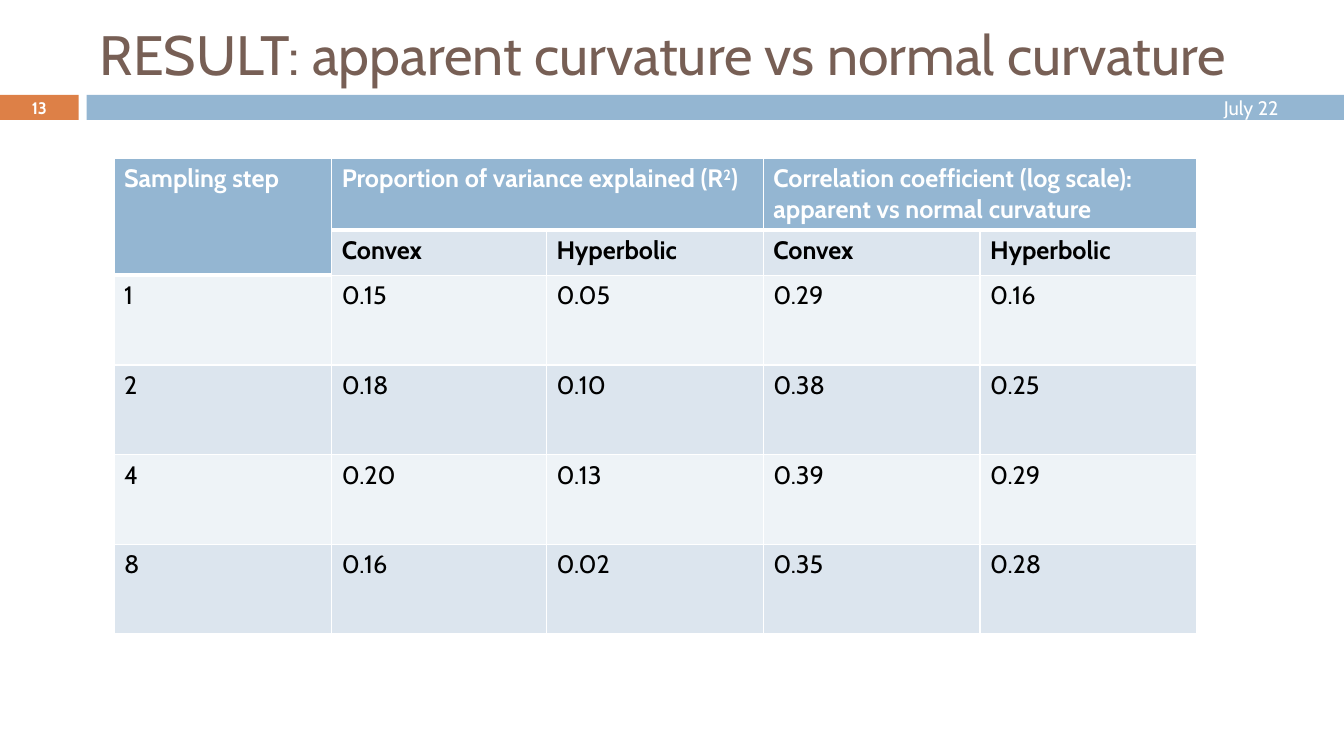
from lxml.etree import SubElement
from pptx import Presentation
from pptx.dml.color import RGBColor
from pptx.enum.shapes import MSO_SHAPE as Shape
from pptx.enum.text import MSO_ANCHOR as Anchor, PP_ALIGN as Align
from pptx.oxml.ns import qn
from pptx.util import Inches, Pt

TITLE = "RESULT: apparent curvature vs normal curvature"
NUMBER = "13"
DATE = "July 22"
# Each head: row, column, row span, column span, lines of (text, raised) runs
HEADS = [
    (0, 0, 2, 1, [[("Sampling step", False)]]),
    (0, 1, 1, 2, [[("Proportion of variance explained (R", False),
                   ("2", True), (")", False)]]),
    (0, 3, 1, 2, [[("Correlation coefficient (log scale):", False)],
                  [("apparent vs normal curvature", False)]]),
]
KINDS = ["Convex", "Hyperbolic"]
VALUES = [
    ["1", "0.15", "0.05", "0.29", "0.16"],
    ["2", "0.18", "0.10", "0.38", "0.25"],
    ["4", "0.20", "0.13", "0.39", "0.29"],
    ["8", "0.16", "0.02", "0.35", "0.28"],
]
WIDTHS = [2.16, 2.13, 2.15, 2.15, 2.15]
HEIGHTS = [0.7, 0.45] + [0.89] * len(VALUES)

FONT = "Cabin"
WHITE = RGBColor(0xFF, 0xFF, 0xFF)
BLACK = RGBColor(0, 0, 0)
BROWN = RGBColor(0x77, 0x5F, 0x55)
ORANGE = RGBColor(0xDD, 0x80, 0x47)
BLUE = RGBColor(0x94, 0xB6, 0xD2)
MID = RGBColor(0xDC, 0xE5, 0xEE)
PALE = RGBColor(0xEE, 0xF3, 0xF7)


def add_run(para, text, size, color, bold=False, raised=False):
    run = para.add_run()
    run.text = text
    font = run.font
    font.name, font.size, font.bold = FONT, Pt(size), bold
    font.color.rgb = color
    if raised:
        run._r.get_or_add_rPr().set("baseline", "30000")


def add_bar(slide, left, width, color):
    bar = slide.shapes.add_shape(Shape.RECTANGLE, Inches(left), Inches(0.94),
                                 Inches(width), Inches(0.25))
    bar.shadow.inherit = False
    bar.fill.solid()
    bar.fill.fore_color.rgb = color
    bar.line.fill.background()
    frame = bar.text_frame
    frame.vertical_anchor = Anchor.MIDDLE
    frame.margin_top = frame.margin_bottom = 0
    return frame


def set_edges(cell, top, bottom):
    """Draw white cell borders, with the given top and bottom widths in points."""
    props = cell._tc.get_or_add_tcPr()
    for side, width in zip("LRTB", (1, 1, top, bottom)):
        line = SubElement(props, qn("a:ln" + side), w=str(Pt(width)))
        fill = SubElement(line, qn("a:solidFill"))
        SubElement(fill, qn("a:srgbClr"), val=str(WHITE))


def add_grid(slide):
    frame = slide.shapes.add_table(len(HEIGHTS), len(WIDTHS), Inches(1.13),
                                   Inches(1.57), Inches(sum(WIDTHS)),
                                   Inches(sum(HEIGHTS)))
    table = frame.table
    for col, width in zip(table.columns, WIDTHS):
        col.width = Inches(width)
    for row, height in zip(table.rows, HEIGHTS):
        row.height = Inches(height)

    for r in range(len(HEIGHTS)):
        for c in range(len(WIDTHS)):
            cell = table.cell(r, c)
            is_head = r == 0 or (r == 1 and c == 0)
            below = r == (2 if c == 0 else 1)
            set_edges(cell, 3 if below else 1, 3 if is_head else 1)
            cell.fill.solid()
            cell.fill.fore_color.rgb = BLUE if is_head else MID if r % 2 else PALE
            if not is_head:
                text = KINDS[(c - 1) % 2] if r == 1 else VALUES[r - 2][c]
                add_run(cell.text_frame.paragraphs[0], text, 18, BLACK, r == 1)

    for r, c, tall, wide, lines in HEADS:
        cell = table.cell(r, c)
        cell.merge(table.cell(r + tall - 1, c + wide - 1))
        frame = cell.text_frame
        for i, runs in enumerate(lines):
            para = frame.add_paragraph() if i else frame.paragraphs[0]
            for text, raised in runs:
                add_run(para, text, 18, WHITE, True, raised)


def main():
    deck = Presentation()
    deck.slide_width, deck.slide_height = Inches(13.33), Inches(7.5)
    slide = deck.slides.add_slide(deck.slide_layouts[5])

    title = slide.shapes.title
    title.left, title.top = Inches(0.89), Inches(0.25)
    title.width, title.height = Inches(11.89), Inches(0.56)
    title.text_frame.vertical_anchor = Anchor.MIDDLE
    para = title.text_frame.paragraphs[0]
    para.alignment = Align.LEFT
    add_run(para, TITLE, 39.6, BROWN)

    badge = add_bar(slide, 0, 0.78, ORANGE)
    para = badge.paragraphs[0]
    para.alignment = Align.CENTER
    add_run(para, NUMBER, 11.9, WHITE, True)

    strip = add_bar(slide, 0.86, 12.47, BLUE)
    strip.margin_right = Inches(0.65)
    para = strip.paragraphs[0]
    para.alignment = Align.RIGHT
    add_run(para, DATE, 14, WHITE)

    add_grid(slide)
    deck.save("out.pptx")


if __name__ == "__main__":
    main()
